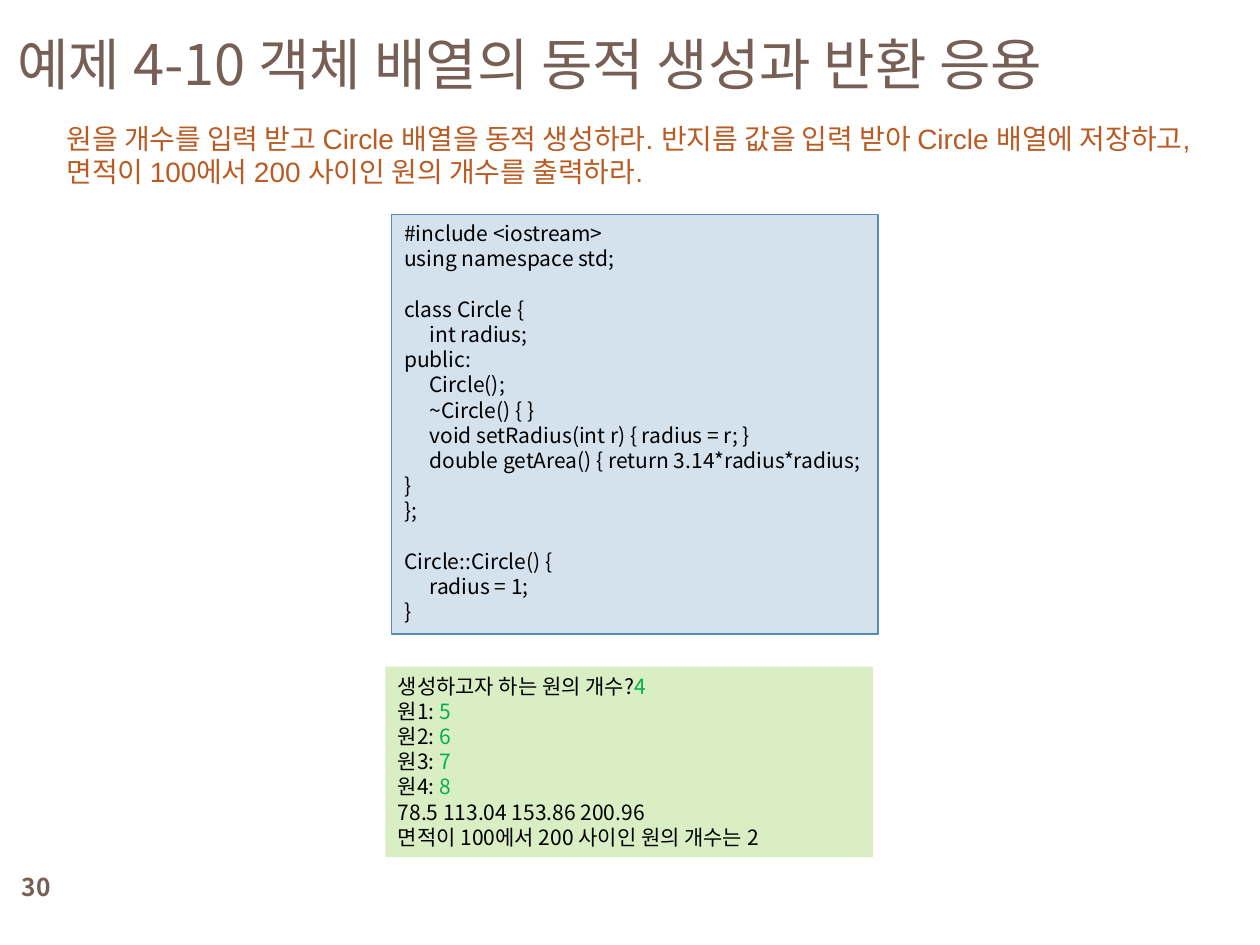
from lxml import etree
from pptx import Presentation
from pptx.dml.color import RGBColor
from pptx.enum.shapes import MSO_SHAPE
from pptx.enum.text import MSO_ANCHOR, PP_ALIGN
from pptx.oxml.ns import qn
from pptx.util import Cm, Pt

RECTANGLE = MSO_SHAPE.RECTANGLE
TOP, MIDDLE = MSO_ANCHOR.TOP, MSO_ANCHOR.MIDDLE
LEFT, CENTER = PP_ALIGN.LEFT, PP_ALIGN.CENTER
TITLE_ONLY = 5

THEME = {
    "korean": "Noto Sans CJK KR",
    "latin": "Arial",
    "brown": RGBColor.from_string("775F55"),
    "orange": RGBColor.from_string("B95B22"),
    "black": RGBColor.from_string("000000"),
    "input": RGBColor.from_string("00B050"),
    "code_fill": RGBColor.from_string("D4E2ED"),
    "code_line": RGBColor.from_string("558BB8"),
    "output_fill": RGBColor.from_string("DAEEC4"),
    "title_size": Pt(32),
    "task_size": Pt(16),
    "number_size": Pt(14),
    "code_size": Pt(12),
    "task_pitch": Pt(18.9),
    "code_pitch": Pt(14.4),
}
CODE_TAB = Cm(0.51)

CODE = """#include <iostream>
using namespace std;

class Circle {
\tint radius;
public:
\tCircle();
\t~Circle() { }
\tvoid setRadius(int r) { radius = r; }
\tdouble getArea() { return 3.14*radius*radius; }
};

Circle::Circle() {
\tradius = 1;
}"""

# Each output line: what the program prints, then what the user types
OUTPUT = [
    ("생성하고자 하는 원의 개수?", "4"),
    *[(f"원{number}: ", str(number + 4)) for number in range(1, 5)],
    ("78.5 113.04 153.86 200.96", ""),
    ("면적이 100에서 200 사이인 원의 개수는 2", ""),
]


def place(shape, left, top, width, height):
    position = {"left": left, "top": top, "width": width, "height": height}
    for name, value in position.items():
        setattr(shape, name, Cm(value))


def write(shape, lines, size, color, font=THEME["korean"], bold=False,
          anchor=TOP, align=LEFT, pitch=None, tab=None):
    """Fill a shape; each line is a pair of base text and typed input."""
    frame = shape.text_frame
    frame_format = {
        "word_wrap": True, "vertical_anchor": anchor,
        "margin_left": Cm(0.25), "margin_right": Cm(0.25),
        "margin_top": Cm(0.13), "margin_bottom": Cm(0.13),
    }
    for name, value in frame_format.items():
        setattr(frame, name, value)
    for index, line in enumerate(lines):
        para = frame.add_paragraph() if index else frame.paragraphs[0]
        para.alignment = align
        if pitch:
            para.line_spacing = pitch
        if tab:
            tabs = etree.SubElement(para._p.get_or_add_pPr(), qn("a:tabLst"))
            etree.SubElement(tabs, qn("a:tab"), pos=str(tab), algn="l")
        for text, text_color in zip(line, (color, THEME["input"])):
            if not text:
                continue
            span = para.add_run()
            span.text = text
            span.font.color.rgb = text_color
            for name, value in {"name": font, "size": size, "bold": bold}.items():
                setattr(span.font, name, value)
            etree.SubElement(span.font._element, qn("a:ea"),
                             typeface=THEME["korean"])
        if not any(line):
            etree.SubElement(para._p, qn("a:endParaRPr"),
                             sz=str(int(size.pt * 100)))


deck = Presentation()
deck.slide_width, deck.slide_height = Cm(25.4), Cm(19.05)
page = deck.slides.add_slide(deck.slide_layouts[TITLE_ONLY])

# Title
title = page.shapes.title
place(title, 0.1, 0.33, 25.3, 1.88)
write(title, [("예제 4-10 객체 배열의 동적 생성과 반환 응용", "")],
      THEME["title_size"], THEME["brown"], anchor=MIDDLE)

# Task and page number
task = ("원을 개수를 입력 받고 Circle 배열을 동적 생성하라. 반지름 값을 입력 받아 "
        "Circle 배열에 저장하고, 면적이 100에서 200 사이인 원의 개수를 출력하라.")
box = page.shapes.add_textbox(Cm(1.09), Cm(2.34), Cm(23.42), Cm(1.63))
write(box, [(task, "")], THEME["task_size"], THEME["orange"],
      font=THEME["latin"], pitch=THEME["task_pitch"])
box = page.shapes.add_textbox(Cm(0), Cm(17.35), Cm(1.47), Cm(1.07))
write(box, [("30", "")], THEME["number_size"], THEME["brown"],
      bold=True, anchor=MIDDLE, align=CENTER)

# Code panel and output panel
code_lines = [(line, "") for line in CODE.split("\n")]
panels = [
    (7.77, 13.44, 9.83, 3.84, OUTPUT, THEME["output_fill"], None),
    (7.9, 4.32, 9.8, 8.46, code_lines, THEME["code_fill"], THEME["code_line"]),
]
for left, top, width, height, lines, fill, outline in panels:
    panel = page.shapes.add_shape(RECTANGLE, Cm(left), Cm(top),
                                  Cm(width), Cm(height))
    panel.shadow.inherit = False
    panel.fill.solid()
    panel.fill.fore_color.rgb = fill
    if outline:
        panel.line.color.rgb = outline
        panel.line.width = Pt(0.75)
    else:
        panel.line.fill.background()
    write(panel, lines, THEME["code_size"], THEME["black"],
          pitch=THEME["code_pitch"], tab=CODE_TAB)

deck.save("out.pptx")
